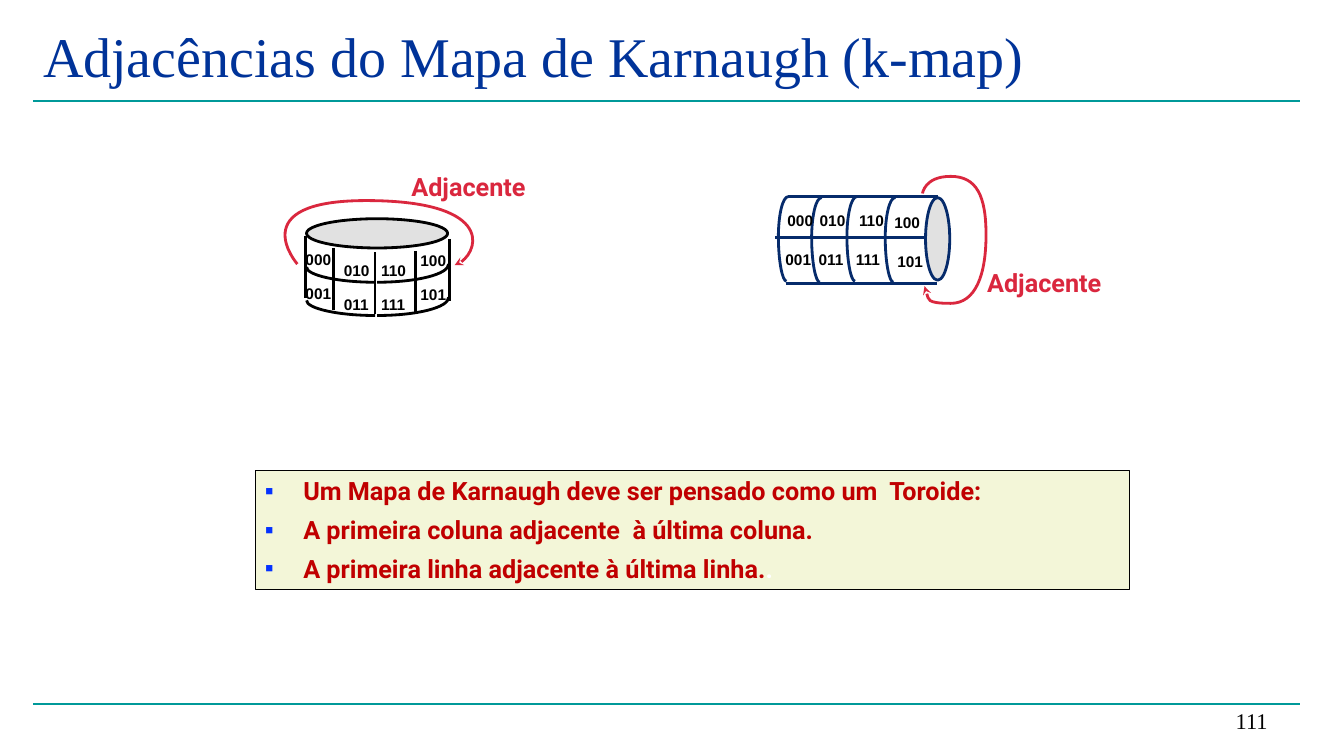
import pptx
import pptx.dml.color
import pptx.enum.shapes
import pptx.enum.text
import pptx.oxml
import pptx.oxml.ns
import pptx.util
from pptx.util import Inches

SHAPE = pptx.enum.shapes.MSO_SHAPE
ANCHOR = pptx.enum.text.MSO_ANCHOR
ALIGN = pptx.enum.text.PP_ALIGN
FIT = pptx.enum.text.MSO_AUTO_SIZE

TEAL, NAVY, RED, BLACK, GREY = "009999", "062B6B", "DA273E", "000000", "E1E1E1"
TITLE_FONT = {"name": "Times New Roman", "size": 40}
NUMBER_FONT = {"name": "Times New Roman", "size": 16}
CELL_FONT = {"name": "Arial", "size": 11, "bold": True}
BODY_FONT = {"name": "Roboto", "size": 18, "bold": True}
LABEL_FRAME = {
    "word_wrap": False,
    "auto_size": FIT.SHAPE_TO_FIT_TEXT,
    **{f"margin_{side}": Inches(0.06) for side in ("left", "top", "right", "bottom")},
}
COLUMN_CODES = ("00", "01", "11", "10")
STEPS = 16


def rgb(value):
    return pptx.dml.color.RGBColor.from_string(value)


def set_attributes(target, values):
    for name, value in values.items():
        setattr(target, name, value)


def add_xml(parent, tag, content="", **attributes):
    pairs = "".join(f' {name}="{value}"' for name, value in attributes.items())
    namespace = pptx.oxml.ns.nsdecls("a")
    parent.append(pptx.oxml.parse_xml(f"<a:{tag} {namespace}{pairs}>{content}</a:{tag}>"))


def set_font(target, values, colour):
    set_attributes(target.font, {**values, "size": pptx.util.Pt(values["size"])})
    target.font.color.rgb = rgb(colour)


def set_line(shape, colour, width):
    shape.line.color.rgb = rgb(colour)
    shape.line.width = pptx.util.Pt(width)


def add_line(slide, start, end, colour, width=2):
    line = slide.shapes.add_connector(
        pptx.enum.shapes.MSO_CONNECTOR.STRAIGHT, *map(Inches, start + end))
    set_line(line, colour, width)
    add_xml(line.element.spPr, "effectLst")


def add_shape(slide, kind, box, fill, line, width):
    shape = slide.shapes.add_shape(kind, *map(Inches, box))
    shape.shadow.inherit = False
    shape.fill.solid()
    shape.fill.fore_color.rgb = rgb(fill)
    set_line(shape, line, width)
    return shape


def bezier(points, t):
    """Point at t on the cubic curve given by four control points."""
    weights = ((1 - t) ** 3, 3 * t * (1 - t) ** 2, 3 * t ** 2 * (1 - t), t ** 3)
    return tuple(Inches(sum(w * p[axis] for w, p in zip(weights, points))) for axis in (0, 1))


def add_curve(slide, controls, colour, arrow=False):
    """Draw joined cubic curves; each one starts where the last one ends."""
    starts = range(0, len(controls) - 1, 3)
    track = [bezier(controls[first:first + 4], step / STEPS)
             for first in starts for step in range(STEPS + 1)]
    builder = slide.shapes.build_freeform(*track[0])
    builder.add_line_segments(track[1:], close=False)
    curve = builder.convert_to_shape()
    # The sampled track gives the exact bounds; the outline itself becomes cubic.
    outline = curve.element.xpath(".//a:path")[0]
    for segment in list(outline):
        outline.remove(segment)
    points = [f'<a:pt x="{Inches(x) - curve.left}" y="{Inches(y) - curve.top}"/>'
              for x, y in controls]
    add_xml(outline, "moveTo", points[0])
    for first in starts:
        add_xml(outline, "cubicBezTo", "".join(points[first + 1:first + 4]))
    curve.shadow.inherit = False
    curve.fill.background()
    set_line(curve, colour, 2)
    if arrow:
        add_xml(curve.line._get_or_add_ln(), "tailEnd", type="stealth")


def add_text(slide, text, box, font, colour, frame_format, align=ALIGN.LEFT):
    frame = slide.shapes.add_textbox(*map(Inches, box)).text_frame
    set_attributes(frame, {"word_wrap": True, **frame_format})
    paragraph = frame.paragraphs[0]
    paragraph.alignment = align
    run = paragraph.add_run()
    run.text = text
    set_font(run, font, colour)
    return paragraph


def add_label(slide, text, box, font, colour):
    paragraph = add_text(slide, text, box, font, colour, LABEL_FRAME)
    paragraph.line_spacing = 0.9
    paragraph._p.get_or_add_pPr().set("marL", str(Inches(0.04)))


def add_cell_codes(slide, positions):
    """Label the cells; positions holds the top and bottom corner of each column."""
    for column, corners in zip(COLUMN_CODES, positions):
        for row, (x, y) in enumerate(corners):
            add_label(slide, f"{column}{row}", (x, y, 0.46, 0.28), CELL_FONT, BLACK)


def add_drum(slide):
    add_shape(slide, SHAPE.OVAL, (3.04, 2.17, 1.4, 0.29), GREY, BLACK, 2)
    for x, top in ((3.03, 2.34), (3.31, 2.46), (3.72, 2.5), (4.12, 2.49), (4.46, 2.37)):
        add_line(slide, (x, top), (x, top + 0.62), BLACK)
    for y in (2.65, 2.98):
        low = y + 0.15
        add_curve(slide, [(3.72, low), (3.35, low), (3.04, y + 0.08), (3.04, y)], BLACK)
        add_curve(slide, [(4.45, y - 0.03), (4.45, y + 0.07), (4.14, low), (3.74, low)], BLACK)
    columns = ((2.93, 2.44), (3.31, 2.55), (3.68, 2.55), (4.07, 2.45))
    add_cell_codes(slide, [((x, y), (x, y + 0.34)) for x, y in columns])
    add_curve(slide, [(2.95, 2.62), (2.95, 2.62), (2.4, 1.99), (3.63, 1.99),
                      (4.86, 1.99), (4.76, 2.56), (4.51, 2.63)], RED, arrow=True)
    add_label(slide, "Adjacente", (3.98, 1.67, 1.48, 0.38), BODY_FONT, RED)


def add_cylinder(slide):
    add_curve(slide, [(9.15, 1.92), (9.15, 1.92), (9.17, 1.75), (9.43, 1.75),
                      (9.69, 1.75), (9.78, 1.95), (9.78, 2.33),
                      (9.78, 2.72), (9.68, 3.01), (9.43, 3.01),
                      (9.18, 3.01), (9.2, 2.92), (9.17, 2.84)], RED, arrow=True)
    add_shape(slide, SHAPE.OVAL, (9.18, 1.96, 0.24, 0.82), GREY, NAVY, 2)
    for right, left, y in ((9.3, 7.82, 1.95), (9.18, 7.69, 2.36), (9.29, 7.8, 2.81)):
        add_line(slide, (right, y), (left, y), NAVY)
    for x, drop in ((7.72, 0), (8.05, 0.01), (8.4, 0), (8.78, 0.01)):
        top, middle, bottom = 1.95 + drop, 2.36 + drop, 2.79 + drop
        add_curve(slide, [(x, middle), (x, middle - 0.22), (x + 0.04, top), (x + 0.1, top)], NAVY)
        add_curve(slide, [(x + 0.08, bottom), (x + 0.04, bottom),
                          (x, bottom - 0.2), (x, middle - 0.01)], NAVY)
    add_cell_codes(slide, [((7.71, 2.06), (7.69, 2.44)), ((8.03, 2.05), (8.02, 2.44)),
                           ((8.42, 2.06), (8.39, 2.44)), ((8.77, 2.07), (8.8, 2.46))])
    add_label(slide, "Adjacente", (9.69, 2.63, 1.48, 0.38), BODY_FONT, RED)


def add_summary(slide):
    panel = add_shape(slide, SHAPE.RECTANGLE, (2.53, 4.67, 8.67, 1.18), "F3F6D8", BLACK, 0.75)
    frame = panel.text_frame
    set_attributes(frame, {"word_wrap": True, "vertical_anchor": ANCHOR.TOP,
                           "auto_size": FIT.SHAPE_TO_FIT_TEXT})
    statements = (
        [("Um Mapa de Karnaugh deve ser pensado como um  Toroide:", "C00000")],
        [("A primeira coluna adjacente  à última coluna.", "C00000")],
        [("A primeira linha adjacente à última linha.", "C00000"), (".", "FFFFFF")],
    )
    for index, pieces in enumerate(statements):
        paragraph = frame.add_paragraph() if index else frame.paragraphs[0]
        paragraph.alignment = ALIGN.LEFT
        if index:
            paragraph.space_before = pptx.util.Pt(6)
        properties = paragraph._p.get_or_add_pPr()
        set_bullet = {"marL": 0.38, "indent": -0.38}
        for name, length in set_bullet.items():
            properties.set(name, str(Inches(length)))
        add_xml(properties, "buClr", '<a:srgbClr val="0432FF"/>')
        add_xml(properties, "buFont", typeface="Arial")
        add_xml(properties, "buChar", char="▪")
        for text, colour in pieces:
            run = paragraph.add_run()
            run.text = text
            set_font(run, BODY_FONT, colour)


def main():
    deck = pptx.Presentation()
    set_attributes(deck, {"slide_width": Inches(13.33), "slide_height": Inches(7.5)})
    slide = deck.slides.add_slide(deck.slide_layouts[6])
    for y in (1, 6.98):
        add_line(slide, (0.33, y), (12.89, y), TEAL, 1.5)
    add_text(slide, "Adjacências do Mapa de Karnaugh (k-map)", (0.33, 0.17, 12.56, 1.17),
             TITLE_FONT, "003399", {"margin_top": Inches(0.04)})
    add_text(slide, "111", (9.56, 6.83, 3.11, 0.5), NUMBER_FONT, BLACK,
             {"vertical_anchor": ANCHOR.BOTTOM}, ALIGN.RIGHT)
    add_cylinder(slide)
    add_drum(slide)
    add_summary(slide)
    deck.save("out.pptx")


if __name__ == "__main__":
    main()
